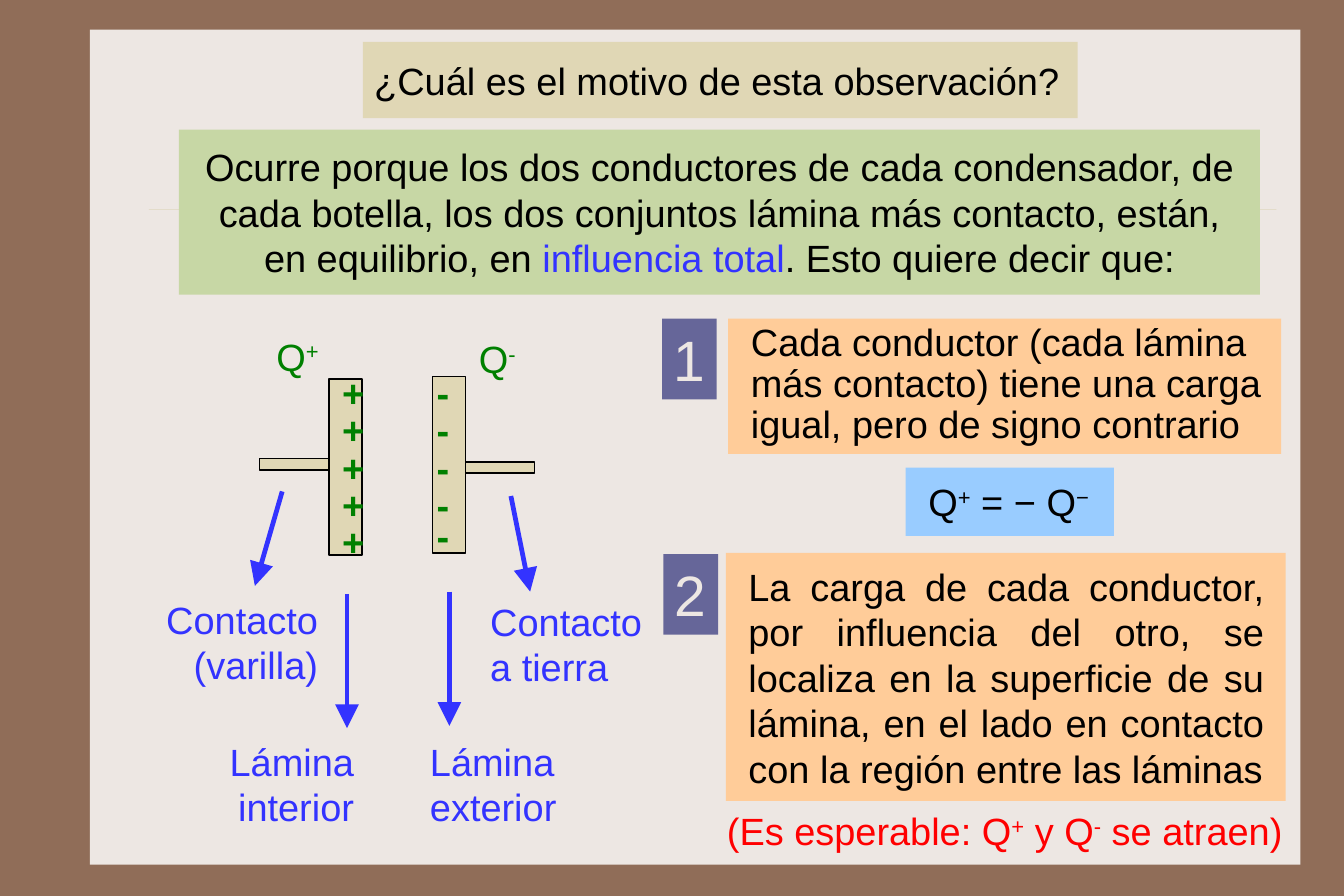
from dataclasses import dataclass
from typing import NamedTuple

from lxml import etree
from pptx import Presentation
from pptx.dml.color import RGBColor
from pptx.enum.shapes import MSO_CONNECTOR as Connector, MSO_SHAPE as Shape
from pptx.enum.text import MSO_ANCHOR as Anchor, PP_ALIGN as Align
from pptx.oxml.ns import qn
from pptx.util import Pt


@dataclass(frozen=True)
class Theme:
    font: str = "Arial"
    body_size: float = 24
    number_size: float = 36
    border: str = "906D58"
    paper: str = "EDE7E3"
    rule: str = "CBBD83"
    sand: str = "E0D7B5"
    green: str = "C7D7A5"
    orange: str = "FFCC99"
    sky: str = "99CCFF"
    violet: str = "666699"
    ink: str = "000000"
    blue: str = "3333FF"
    charge: str = "008000"
    red: str = "FF0000"


THEME = Theme()


class Box(NamedTuple):
    left: float
    top: float
    width: float
    height: float

    def inside(self, left, top, width, height):
        """Return a box given relative to this one's top left corner."""
        return Box(self.left + left, self.top + top, width, height)


class Piece(NamedTuple):
    text: str
    color: str = ""
    raised: bool = False


@dataclass(frozen=True)
class Electrode:
    """One conductor: offsets are points inside the diagram box."""
    sign: str
    plate: tuple
    rod: tuple
    charge_label: tuple
    charge_left: float
    charge_width: float
    charge_tops: tuple
    contact: str
    contact_box: tuple
    contact_arrow: tuple
    foil: str
    foil_box: tuple
    foil_arrow: tuple
    align: Align


CHARGE_TOPS = tuple(23.4 + 23.6 * row for row in range(5))
ELECTRODES = (
    Electrode("+", (112.1, 32.8, 20.9, 111.6), (68.2, 83.2, 43.9, 7.2),
              (71.8, 0.4, 42.5, 36.7), 113.5, 28.8, CHARGE_TOPS,
              "Contacto (varilla)", (0, 163.8, 112.3, 71.3), (82.6, 104, 65.3, 163.8),
              "Lámina interior", (27.8, 253.8, 107.3, 71.3), (123.6, 168.8, 123.6, 253.8),
              Align.RIGHT),
    Electrode("-", (177.6, 31.3, 20.9, 111.6), (198.5, 85.3, 43.9, 7.2),
              (199.9, 1.8, 38.2, 36.7), 173.3, 22.3, (*CHARGE_TOPS[:-1], 114.1),
              "Contacto a tierra", (207.1, 165.2, 113.8, 71.3), (227.3, 106.9, 239.5, 167.4),
              "Lámina exterior", (169, 253.8, 115.9, 71.3), (188.4, 167.4, 188.4, 252.4),
              Align.LEFT),
)


def rgb(color):
    return RGBColor.from_string(color)


def add_rectangle(slide, box, fill, outline=None):
    shape = slide.shapes.add_shape(Shape.RECTANGLE, *map(Pt, box))
    shape.shadow.inherit = False
    shape.fill.solid()
    shape.fill.fore_color.rgb = rgb(fill)
    if outline:
        shape.line.color.rgb = rgb(outline)
        shape.line.width = Pt(1)
    else:
        shape.line.fill.background()
    return shape


def add_line(slide, box, ends, color, width, arrow=False, opacity=None):
    """Draw a line between two points given relative to the box."""
    x1, y1, x2, y2 = ends
    points = (box.left + x1, box.top + y1, box.left + x2, box.top + y2)
    connector = slide.shapes.add_connector(Connector.STRAIGHT, *map(Pt, points))
    connector.line.color.rgb = rgb(color)
    connector.line.width = Pt(width)
    properties = connector._element.spPr
    if opacity:
        etree.SubElement(properties.find(".//" + qn("a:srgbClr")), qn("a:alpha"),
                         val=str(opacity * 1000))
    if arrow:
        etree.SubElement(properties.find(qn("a:ln")), qn("a:tailEnd"),
                         type="triangle", w="lg", len="lg")
    etree.SubElement(properties, qn("a:effectLst"))


def add_text(slide, box, pieces, color=THEME.ink, fill=None, size=THEME.body_size,
             align=Align.LEFT, anchor=Anchor.MIDDLE, wrap=True, bold=False,
             margins=(7.2, 3.6, 7.2, 3.6), spacing=None):
    """Write a string or a list of pieces, on a filled rectangle if fill is given."""
    shape = add_rectangle(slide, box, fill) if fill else slide.shapes.add_textbox(*map(Pt, box))
    frame = shape.text_frame
    frame.word_wrap = wrap
    frame.vertical_anchor = anchor
    (frame.margin_left, frame.margin_top,
     frame.margin_right, frame.margin_bottom) = map(Pt, margins)
    paragraph = frame.paragraphs[0]
    paragraph.alignment = align
    if spacing:
        paragraph.line_spacing = spacing
    for piece in [Piece(pieces)] if isinstance(pieces, str) else pieces:
        run = paragraph.add_run()
        run.text = piece.text
        run.font.name = THEME.font
        run.font.size = Pt(size)
        run.font.bold = bold
        run.font.color.rgb = rgb(piece.color or color)
        if piece.raised:
            run._r.get_or_add_rPr().set("baseline", "30000")


def draw_frame(slide, box):
    slide.background.fill.solid()
    slide.background.fill.fore_color.rgb = rgb(THEME.border)
    add_rectangle(slide, box, THEME.paper)
    add_line(slide, box, (37.4, 113.8, 750.9, 113.8), THEME.rule, 0.25, opacity=40)


def draw_header(slide, box):
    add_text(slide, box.inside(116.4, 0, 452.2, 48.2),
             "¿Cuál es el motivo de esta observación?", fill=THEME.sand, wrap=False)
    explanation = [
        Piece("Ocurre porque los dos conductores de cada condensador, de cada botella, "
              "los dos conjuntos lámina más contacto, están, en equilibrio, en "),
        Piece("influencia total", THEME.blue),
        Piece(". Esto quiere decir que:"),
    ]
    add_text(slide, box.inside(0, 55.5, box.width, 104.4), explanation, fill=THEME.green,
             align=Align.CENTER, margins=(11.5, 8.6, 11.5, 8.6))


def draw_capacitor(slide, box):
    for electrode in ELECTRODES:
        for part in (electrode.plate, electrode.rod):
            add_rectangle(slide, box.inside(*part), THEME.sand, THEME.ink)
        add_text(slide, box.inside(*electrode.charge_label),
                 [Piece("Q"), Piece(electrode.sign, raised=True)],
                 THEME.charge, anchor=Anchor.TOP, wrap=False)
        for top in electrode.charge_tops:
            add_text(slide, box.inside(electrode.charge_left, top, electrode.charge_width, 36.7),
                     electrode.sign, THEME.charge, anchor=Anchor.TOP, wrap=False, bold=True)
        for text, place, arrow in (
                (electrode.contact, electrode.contact_box, electrode.contact_arrow),
                (electrode.foil, electrode.foil_box, electrode.foil_arrow)):
            add_text(slide, box.inside(*place), text, THEME.blue, align=electrode.align,
                     anchor=Anchor.TOP, margins=(7.2, 6.5, 7.2, 6.5))
            add_line(slide, box, arrow, THEME.blue, 3, arrow=True)


def draw_conclusions(slide, box):
    wide = (14.4, 5.8, 14.4, 5.8)
    for number, left, top in (("1", 0, 0), ("2", 0.8, 149)):
        add_text(slide, box.inside(left, top, 34.6, 51.1), number, THEME.paper, THEME.violet,
                 THEME.number_size, anchor=Anchor.TOP, wrap=False)
    add_text(slide, box.inside(41.8, 0, 349.9, 85.7),
             "Cada conductor (cada lámina más contacto) tiene una carga igual, "
             "pero de signo contrario",
             fill=THEME.orange, anchor=Anchor.TOP, margins=(14.4, 3.6, 7.2, 3.6), spacing=0.9)
    add_text(slide, box.inside(154.1, 94.3, 131.8, 43.2),
             [Piece("Q"), Piece("+", raised=True), Piece(" = − Q"), Piece("−", raised=True)],
             fill=THEME.sky, wrap=False, margins=wide)
    add_text(slide, box.inside(40.4, 148.3, 354.2, 157),
             "La carga de cada conductor, por influencia del otro, se localiza en la superficie "
             "de su lámina, en el lado en contacto con la región entre las láminas",
             fill=THEME.orange, align=Align.JUSTIFY, margins=(14.2, 5.8, 13.6, 5.8))
    add_text(slide, box.inside(22.4, 303.8, 388.8, 40.3),
             [Piece("(Es esperable: Q"), Piece("+", raised=True), Piece(" y Q"),
              Piece("-", raised=True), Piece(" se atraen)")],
             THEME.red, align=Align.CENTER, margins=wide)


def main():
    presentation = Presentation()
    presentation.slide_width, presentation.slide_height = Pt(850.5), Pt(567)
    slide = presentation.slides.add_slide(presentation.slide_layouts[6])
    draw_frame(slide, Box(56.9, 18.7, 766.1, 528.5))
    draw_header(slide, Box(113.3, 26.6, 684, 160))
    draw_capacitor(slide, Box(96, 207, 321, 326))
    draw_conclusions(slide, Box(419, 201.6, 411, 344))
    presentation.save("out.pptx")


if __name__ == "__main__":
    main()
